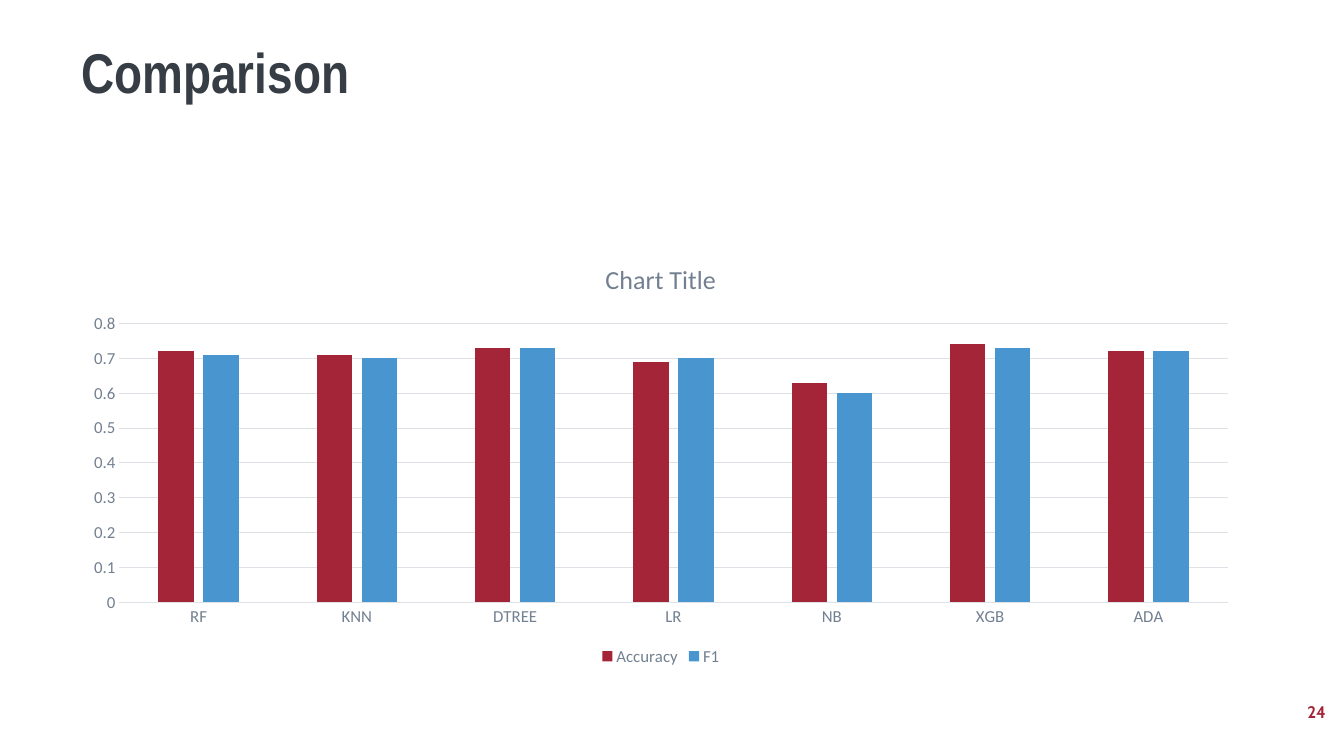
from pptx import Presentation
from pptx.chart.data import CategoryChartData
from pptx.dml.color import RGBColor
from pptx.enum import chart as ch, text as tx
from pptx.util import Inches, Pt

DARK = RGBColor(0x36, 0x3D, 0x45)
GREY = RGBColor(0x72, 0x80, 0x91)
RULE = RGBColor(0xDE, 0xE2, 0xE6)
RED = RGBColor(0xA3, 0x25, 0x37)
BLUE = RGBColor(0x48, 0x95, 0xCF)
WHITE = RGBColor(0xFF, 0xFF, 0xFF)

MODELS = ["RF", "KNN", "DTREE", "LR", "NB", "XGB", "ADA"]
SCORES = [
    ("Accuracy", [0.72, 0.71, 0.73, 0.69, 0.63, 0.74, 0.72], RED),
    ("F1", [0.71, 0.7, 0.73, 0.7, 0.6, 0.73, 0.72], BLUE),
]


def set_font(font, size, color, name="Calibri", bold=False):
    font.size, font.name, font.bold = Pt(size), name, bold
    font.color.rgb = color


def set_line(line, color):
    line.color.rgb = color
    line.width = Pt(0.75)


def add_text(slide, words, box, *, size, color, font, align=tx.PP_ALIGN.LEFT,
             anchor=tx.MSO_ANCHOR.TOP, spacing=1.0):
    frame = slide.shapes.add_textbox(*map(Inches, box)).text_frame
    frame.word_wrap = True
    frame.vertical_anchor = anchor
    line = frame.paragraphs[0]
    line.alignment, line.line_spacing = align, spacing
    run = line.add_run()
    run.text = words
    set_font(run.font, size, color, font, bold=True)


def style_axes(chart):
    models, scores = chart.category_axis, chart.value_axis
    for axis in (models, scores):
        axis.major_tick_mark = axis.minor_tick_mark = ch.XL_TICK_MARK.NONE
        set_font(axis.tick_labels.font, 12, GREY)
    models.has_major_gridlines = False
    set_line(models.format.line, RULE)
    scores.minimum_scale, scores.maximum_scale = 0, 0.8
    scores.major_unit = 0.1
    scores.format.line.fill.background()
    set_line(scores.major_gridlines.format.line, RULE)


def add_score_chart(slide, box):
    data = CategoryChartData(number_format="General")
    data.categories = MODELS
    for name, values, _ in SCORES:
        data.add_series(name, values)
    chart = slide.shapes.add_chart(
        ch.XL_CHART_TYPE.COLUMN_CLUSTERED, *map(Inches, box), data).chart
    set_font(chart.font, 10, DARK)

    # Heading and legend
    chart.has_title = True
    heading = chart.chart_title.text_frame.paragraphs[0].add_run()
    heading.text = "Chart Title"
    set_font(heading.font, 18.6, GREY)
    chart.has_legend = True
    chart.legend.position = ch.XL_LEGEND_POSITION.BOTTOM
    chart.legend.include_in_layout = False
    set_font(chart.legend.font, 12, GREY)

    # Columns
    columns = chart.plots[0]
    columns.gap_width, columns.overlap = 219, -27
    columns.vary_by_categories = False
    for series, (_, _, color) in zip(columns.series, SCORES):
        series.format.fill.solid()
        series.format.fill.fore_color.rgb = color
        series.invert_if_negative = False
    style_axes(chart)


def main():
    deck = Presentation()
    deck.slide_width, deck.slide_height = Inches(13.33), Inches(7.5)
    slide = deck.slides.add_slide(deck.slide_layouts[6])
    slide.background.fill.solid()
    slide.background.fill.fore_color.rgb = WHITE

    # Title
    add_text(slide, "Comparison", (0.71, 0.4, 11.71, 0.8), size=40,
             color=DARK, font="Arial Narrow", spacing=0.9)
    # Scores by model
    add_score_chart(slide, (0.7, 2.41, 11.71, 4.24))
    # Page number
    add_text(slide, "24", (10.25, 6.86, 3, 0.4), size=12, color=RED,
             font="Cabin", align=tx.PP_ALIGN.RIGHT,
             anchor=tx.MSO_ANCHOR.MIDDLE)
    deck.save("out.pptx")


if __name__ == "__main__":
    main()
